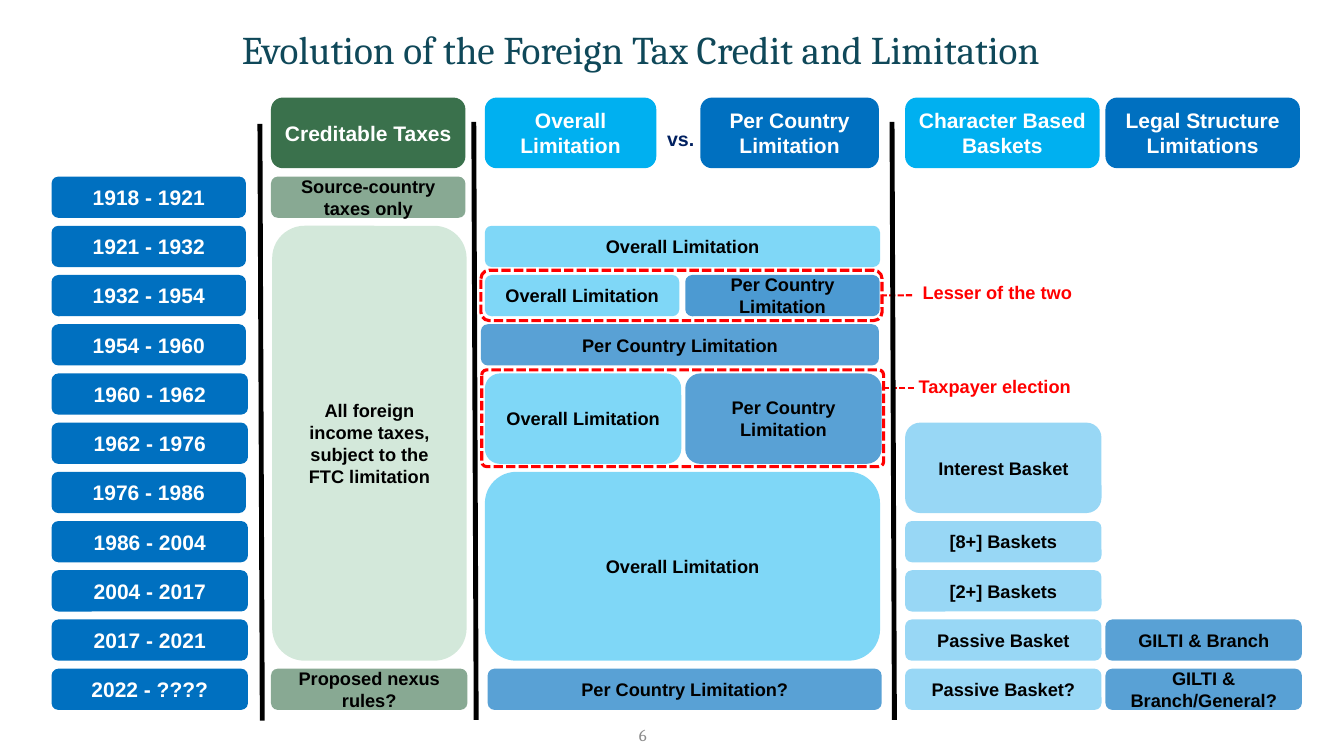
from lxml.etree import SubElement
from pptx import Presentation
from pptx.dml.color import RGBColor
from pptx.enum.dml import MSO_LINE
from pptx.enum.shapes import MSO_CONNECTOR, MSO_SHAPE
from pptx.enum.text import MSO_ANCHOR, MSO_AUTO_SIZE, PP_ALIGN
from pptx.oxml.ns import qn
from pptx.util import Cm, Pt

COLORS = {
    "title": "0F4859", "green": "3A714C", "pale green": "D3E8DA",
    "sky": "00B0F0", "blue": "0070C0", "basket": "33B1ED", "navy": "002060",
    "red": "FF0000", "black": "000000", "white": "FFFFFF", "gray": "8C8C8C",
}

# Grid of periods, in centimetres
FIRST_ROW, ROW_STEP, ROW_HEIGHT = 4.45, 1.24, 1.04
YEARS, CREDIT, OVERALL, COUNTRY, CHARACTER, LEGAL = 1.3, 6.83, 12.22, 17.27, 22.81, 27.86
NARROW, WIDE = 4.9, 4.95


def write(box, text, size, color, align=PP_ALIGN.CENTER, font="Arial", bold=True):
    frame = box.text_frame
    frame.text = text
    frame.word_wrap = True
    for para in frame.paragraphs:
        para.alignment = align
        for span in para.runs:
            span.font.name, span.font.size, span.font.bold = font, Pt(size), bold
            span.font.color.rgb = RGBColor.from_string(COLORS[color])


def draw_line(x1, y1, x2, y2, color, weight):
    line = page.shapes.add_connector(MSO_CONNECTOR.STRAIGHT, Cm(x1), Cm(y1), Cm(x2), Cm(y2))
    line.line.color.rgb = RGBColor.from_string(COLORS[color])
    line.line.width = Pt(weight)
    SubElement(line.element.spPr, qn("a:effectLst"))
    return line


deck = Presentation()
deck.slide_width, deck.slide_height = Cm(33.87), Cm(19.05)
page = deck.slides.add_slide(deck.slide_layouts[5])

# Title
title = page.shapes.title
title.left, title.top, title.width, title.height = Cm(5.84), Cm(0.51), Cm(22.71), Cm(1.45)
write(title, "Evolution of the Foreign Tax Credit and Limitation", 28, "title",
      PP_ALIGN.LEFT, "Cambria", False)
title.text_frame.vertical_anchor = MSO_ANCHOR.TOP

# Column headings: text, left, width, colour
headings = [
    ("Creditable Taxes", CREDIT, NARROW, "green"),
    ("Overall Limitation", OVERALL, 4.32, "sky"),
    ("Per Country Limitation", 17.65, 4.5, "blue"),
    ("Character Based Baskets", CHARACTER, NARROW, "sky"),
    ("Legal Structure Limitations", LEGAL, NARROW, "blue"),
]

# Periods: text and width, one row each
periods = [
    ("1918 - 1921", NARROW), ("1921 - 1932", NARROW), ("1932 - 1954", NARROW),
    ("1954 - 1960", NARROW), ("1960 - 1962", WIDE), ("1962 - 1976", WIDE),
    ("1976 - 1986", NARROW), ("1986 - 2004", WIDE), ("2004 - 2017", WIDE),
    ("2017 - 2021", WIDE), ("2022 - ????", WIDE),
]

# Rules: text, first row, rows covered, left, width, colour, opacity in percent
rules = [
    ("Source-country\ntaxes only", 0, 1, CREDIT, NARROW, "green", 60),
    ("All foreign income taxes, subject to the FTC limitation",
     1, 9, 6.86, NARROW, "pale green", 100),
    ("Proposed nexus rules?", 10, 1, CREDIT, WIDE, "green", 60),
    ("Overall Limitation", 1, 1, OVERALL, 9.96, "sky", 50),
    ("Overall Limitation", 2, 1, OVERALL, NARROW, "sky", 50),
    ("Per Country Limitation", 2, 1, COUNTRY, NARROW, "blue", 70),
    ("Per Country Limitation", 3, 1, 12.12, 10.03, "blue", 65),
    ("Overall Limitation", 4, 2, OVERALL, WIDE, "sky", 50),
    ("Per Country Limitation", 4, 2, COUNTRY, WIDE, "blue", 65),
    ("Overall Limitation", 6, 4, OVERALL, 9.96, "sky", 50),
    ("Per Country Limitation?", 10, 1, 12.29, 9.93, "blue", 65),
    ("Interest Basket", 5, 2, CHARACTER, WIDE, "basket", 50),
    ("[8+] Baskets", 7, 1, CHARACTER, WIDE, "basket", 50),
    ("[2+] Baskets", 8, 1, CHARACTER, WIDE, "basket", 50),
    ("Passive Basket", 9, 1, CHARACTER, WIDE, "basket", 50),
    ("Passive Basket?", 10, 1, CHARACTER, WIDE, "basket", 50),
    ("GILTI & Branch", 9, 1, LEGAL, WIDE, "blue", 65),
    ("GILTI & Branch/General?", 10, 1, LEGAL, WIDE, "blue", 65),
]

# Bring all blocks to: text, left, top, width, height, fill, opacity, size, text colour
blocks = [(text, left, 2.46, width, 1.78, fill, 100, 15, "white")
          for text, left, width, fill in headings]
blocks += [(text, YEARS, FIRST_ROW + row * ROW_STEP, width, ROW_HEIGHT, "blue", 100, 15, "white")
           for row, (text, width) in enumerate(periods)]
blocks += [(text, left, FIRST_ROW + row * ROW_STEP, width, (rows - 1) * ROW_STEP + ROW_HEIGHT,
            fill, opacity, 13, "black")
           for text, row, rows, left, width, fill, opacity in rules]

for text, left, top, width, height, fill, opacity, size, color in blocks:
    block = page.shapes.add_shape(MSO_SHAPE.ROUNDED_RECTANGLE,
                                  Cm(left), Cm(top), Cm(width), Cm(height))
    block.shadow.inherit = False
    block.fill.solid()
    block.fill.fore_color.rgb = RGBColor.from_string(COLORS[fill])
    block.line.fill.background()
    if opacity < 100:
        shade = block.element.spPr.find(qn("a:solidFill")).find(qn("a:srgbClr"))
        SubElement(shade, qn("a:alpha"), val=str(opacity * 1000))
    block.text_frame.vertical_anchor = MSO_ANCHOR.MIDDLE
    write(block, text, size, color)

# Dashed frames with their leaders: left, top, width, height, corner, leader height
frames = [
    (12.12, 6.81, 10.11, 1.27, 0.167, 7.44),
    (12.14, 9.32, 10.13, 2.44, 0.053, 9.78),
]
for left, top, width, height, corner, leader_y in frames:
    frame = page.shapes.add_shape(MSO_SHAPE.ROUNDED_RECTANGLE,
                                  Cm(left), Cm(top), Cm(width), Cm(height))
    frame.adjustments[0] = corner
    frame.shadow.inherit = False
    frame.fill.background()
    frame.line.color.rgb = RGBColor.from_string(COLORS["red"])
    frame.line.width = Pt(2.25)
    frame.line.dash_style = MSO_LINE.SQUARE_DOT
    right = left + width
    leader = draw_line(right + 0.76, leader_y, right, leader_y, "red", 1.5)
    leader.line.dash_style = MSO_LINE.SQUARE_DOT
    if abs(top + height / 2 - leader_y) < 0.05:
        leader.end_connect(frame, 3)

# Column dividers
for x, top, bottom in [(6.55, 3.12, 18.16), (11.94, 3.07, 18.14), (22.48, 3.07, 18.14)]:
    draw_line(x, top, x + 0.06, bottom, "black", 3.5)

# Labels: text, left, top, width, height, size, colour, alignment
labels = [
    ("Lesser of the two", 22.81, 6.96, 4.45, 0.81, 13, "red", PP_ALIGN.RIGHT),
    ("Taxpayer election", 22.66, 9.32, 4.57, 0.81, 13, "red", PP_ALIGN.RIGHT),
    ("vs.", 16.56, 3.07, 1.19, 0.86, 14, "navy", PP_ALIGN.LEFT),
]
for text, left, top, width, height, size, color, align in labels:
    label = page.shapes.add_textbox(Cm(left), Cm(top), Cm(width), Cm(height))
    write(label, text, size, color, align)
    label.text_frame.word_wrap = text != "vs."
    label.text_frame.auto_size = MSO_AUTO_SIZE.SHAPE_TO_FIT_TEXT

# Page number
number = page.shapes.add_textbox(Cm(14.83), Cm(18.29), Cm(1.47), Cm(0.43))
write(number, "6", 12, "gray", PP_ALIGN.RIGHT, "Cambria", False)
number.text_frame.margin_right = 0
number.text_frame.vertical_anchor = MSO_ANCHOR.MIDDLE

deck.save("out.pptx")
